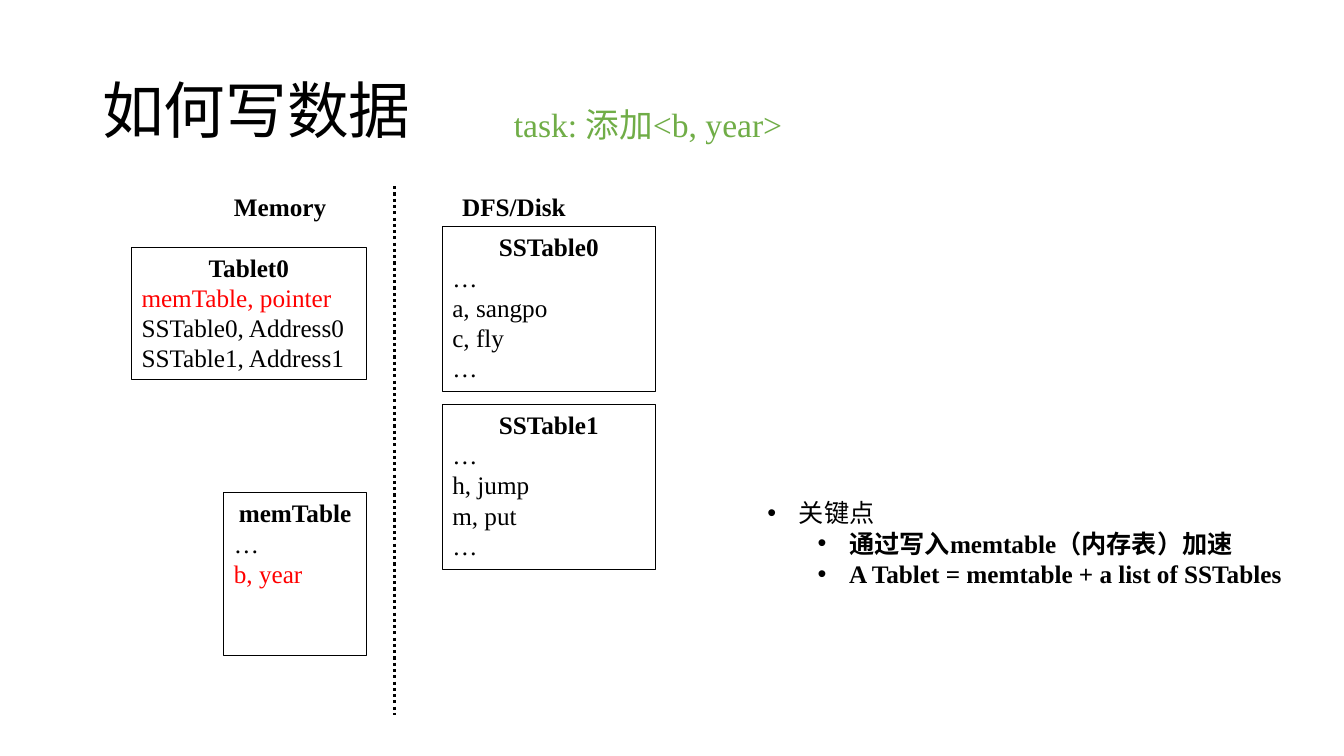
from lxml.etree import SubElement
from pptx import Presentation
from pptx.dml.color import RGBColor
from pptx.enum.dml import MSO_LINE
from pptx.enum.shapes import MSO_CONNECTOR, MSO_SHAPE
from pptx.enum.text import MSO_ANCHOR, PP_ALIGN
from pptx.oxml.ns import qn
from pptx.util import Pt

BLACK = RGBColor(0x00, 0x00, 0x00)
RED = RGBColor(0xFF, 0x00, 0x00)
GREEN = RGBColor(0x70, 0xAD, 0x47)


class Board:
    font = "Times New Roman"
    size = 18

    def __init__(self, slide):
        self.slide = slide
        self.shapes = slide.shapes

    def run(self, para, text, size=None, color=BLACK, bold=False):
        run = para.add_run()
        run.text = text
        run.font.name = self.font
        run.font.size = Pt(size or self.size)
        run.font.bold = bold
        run.font.color.rgb = color

    def frame(self, place, wrap=True, anchor=MSO_ANCHOR.TOP):
        frame = self.shapes.add_textbox(*map(Pt, place)).text_frame
        frame.word_wrap = wrap
        frame.vertical_anchor = anchor
        return frame

    def title(self, place, text):
        para = self.frame(place, anchor=MSO_ANCHOR.MIDDLE).paragraphs[0]
        para.line_spacing = 0.9
        self.run(para, text, size=44)

    def label(self, place, text, wrap=False, **style):
        self.run(self.frame(place, wrap).paragraphs[0], text, **style)

    def table(self, place, name, rows, marked=()):
        box = self.shapes.add_shape(MSO_SHAPE.RECTANGLE, *map(Pt, place))
        box.shadow.inherit = False
        box.fill.background()
        box.line.color.rgb = BLACK
        box.line.width = Pt(0.75)
        frame = box.text_frame
        frame.word_wrap = True
        frame.vertical_anchor = MSO_ANCHOR.TOP
        head = frame.paragraphs[0]
        head.alignment = PP_ALIGN.CENTER
        self.run(head, name, bold=True)
        for row in rows:
            para = frame.add_paragraph()
            para.alignment = PP_ALIGN.LEFT
            self.run(para, row, color=RED if row in marked else BLACK)

    def bullets(self, place, items):
        frame = self.frame(place)
        for index, (level, text) in enumerate(items):
            para = frame.add_paragraph() if index else frame.paragraphs[0]
            para.level = level
            props = para._p.get_or_add_pPr()
            props.set("marL", str(Pt(22.5 + 36 * level)))
            props.set("indent", str(Pt(-22.5)))
            SubElement(props, qn("a:buFont"), typeface="Arial")
            SubElement(props, qn("a:buChar"), char="•")
            self.run(para, text, bold=level > 0)

    def divide(self, x, top, end):
        line = self.shapes.add_connector(
            MSO_CONNECTOR.STRAIGHT, Pt(x), Pt(top), Pt(x), Pt(end))
        line.line.color.rgb = BLACK
        line.line.width = Pt(2.25)
        line.line.dash_style = MSO_LINE.ROUND_DOT
        SubElement(line._element.spPr, qn("a:effectLst"))


def main():
    deck = Presentation()
    deck.slide_width, deck.slide_height = Pt(960), Pt(540)
    board = Board(deck.slides.add_slide(deck.slide_layouts[6]))

    board.title((66, 28.75, 828, 104.4), "如何写数据")
    board.bullets((541, 352, 384, 72.7), [
        (0, "关键点"),
        (1, "通过写入memtable（内存表）加速"),
        (1, "A Tablet = memtable + a list of SSTables"),
    ])
    board.divide(282, 133, 511)
    board.label((160, 133, 81, 29), "Memory", bold=True)
    board.label((323, 133, 90, 29), "DFS/Disk", bold=True)
    board.label((360, 70.5, 208, 36), "task: 添加<b, year>",
                wrap=True, size=24, color=GREEN)

    board.table((94, 176.5, 167.5, 94.5), "Tablet0",
                ["memTable, pointer", "SSTable0, Address0",
                 "SSTable1, Address1"], marked=["memTable, pointer"])
    board.table((160, 352, 101.5, 116.5), "memTable",
                ["…", "b, year"], marked=["b, year"])
    stores = [["a, sangpo", "c, fly"], ["h, jump", "m, put"]]
    for index, pairs in enumerate(stores):
        board.table((316, 162 + 126.7 * index, 152, 118),
                    f"SSTable{index}", ["…", *pairs, "…"])

    deck.save("out.pptx")


if __name__ == "__main__":
    main()
